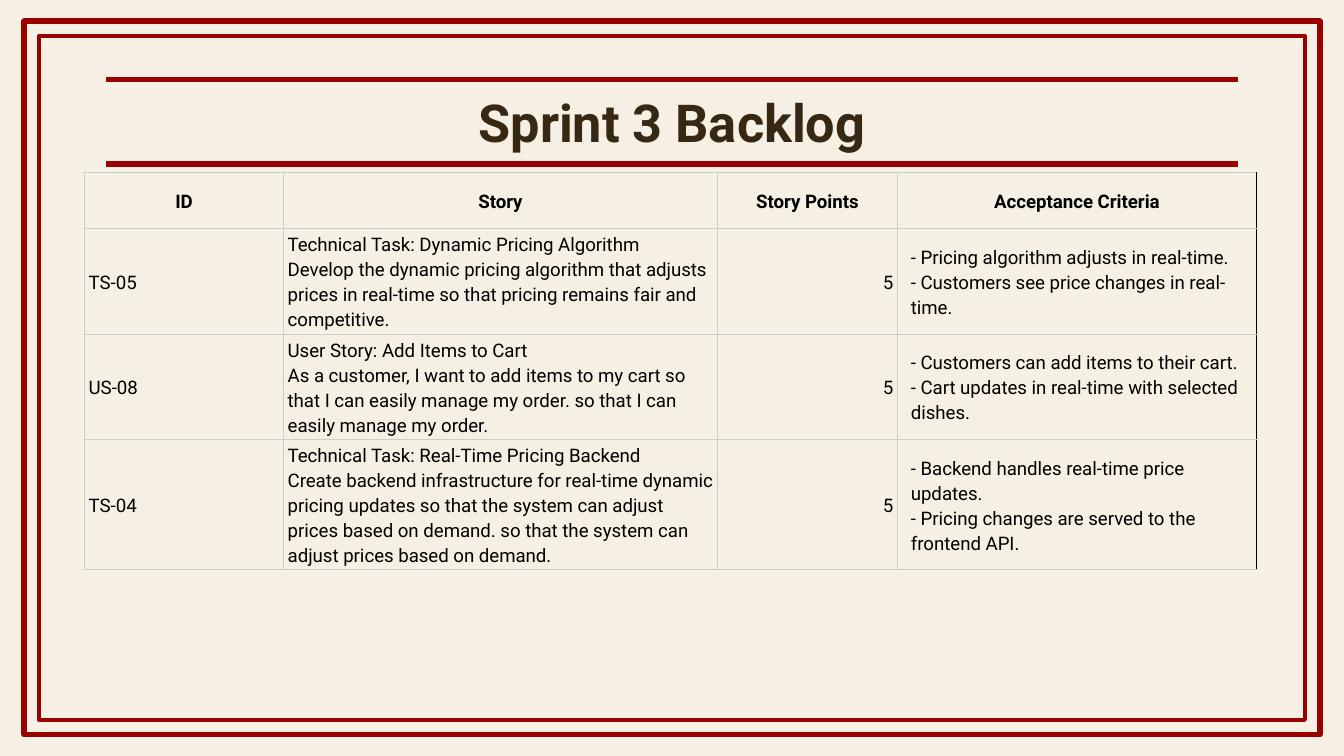
from dataclasses import dataclass

from lxml import etree
from pptx import Presentation
from pptx.dml.color import RGBColor
from pptx.enum.shapes import MSO_CONNECTOR, MSO_SHAPE
from pptx.enum.text import MSO_ANCHOR, MSO_AUTO_SIZE, PP_ALIGN
from pptx.oxml.ns import qn
from pptx.util import Pt

LEFT, MID, RIGHT = PP_ALIGN.LEFT, PP_ALIGN.CENTER, PP_ALIGN.RIGHT
CENTRE = MSO_ANCHOR.MIDDLE
FIXED = MSO_AUTO_SIZE.NONE
RECT = MSO_SHAPE.RECTANGLE
LINE = MSO_CONNECTOR.STRAIGHT


@dataclass(frozen=True)
class Theme:
    """Colours, fonts and sizes of the deck."""
    paper: str = "F6F0E4"
    red: str = "990000"
    brown: str = "372814"
    black: str = "000000"
    grid: str = "CCCCCC"
    face: str = "Roboto"
    head: float = 28
    cell: float = 10
    thick: float = 3
    thin: float = 2.25
    hair: float = 0.42


THEME = Theme()
WIDE, HIGH = 720, 405
TITLE = (56.8, 42.5, 606.4, 45.3)
TABLE = (45.3, 92.4, 627.8, 120)
COLS = (106.6, 232.5, 96.4, 192.3)
ALIGNS = (LEFT, LEFT, RIGHT, LEFT)
PADS = (2.25, 2.25, 2.25, 7.2)
ROWS = (
    ("ID", "Story", "Story Points", "Acceptance Criteria"),
    ("TS-05",
     "Technical Task: Dynamic Pricing Algorithm\n"
     "Develop the dynamic pricing algorithm that adjusts prices in real-time "
     "so that pricing remains fair and competitive.",
     "5",
     "- Pricing algorithm adjusts in real-time.\n"
     "- Customers see price changes in real-time."),
    ("US-08",
     "User Story: Add Items to Cart\n"
     "As a customer, I want to add items to my cart so that I can easily "
     "manage my order. so that I can easily manage my order.",
     "5",
     "- Customers can add items to their cart.\n"
     "- Cart updates in real-time with selected dishes."),
    ("TS-04",
     "Technical Task: Real-Time Pricing Backend\n"
     "Create backend infrastructure for real-time dynamic pricing updates so "
     "that the system can adjust prices based on demand. so that the system "
     "can adjust prices based on demand.",
     "5",
     "- Backend handles real-time price updates.\n"
     "- Pricing changes are served to the frontend API."),
)


def apply(obj, **values):
    """Set each given attribute on an object."""
    for name, value in values.items():
        setattr(obj, name, value)


def style(para, align, size, colour, bold, space=1):
    """Format a paragraph and its font."""
    apply(para, alignment=align, line_spacing=space)
    apply(para.font, name=THEME.face, size=Pt(size), bold=bold)
    para.font.color.rgb = RGBColor.from_string(colour)


def stroke(line, width):
    """Give a line the red of the theme."""
    line.color.rgb = RGBColor.from_string(THEME.red)
    line.width = Pt(width)


def frame(slide, box):
    """Draw the double border inside the box."""
    x, y, w, h = box
    for dx, dy, width in ((13, 11.4, THEME.thick), (20.9, 19.3, THEME.thin)):
        rect = slide.shapes.add_shape(
            RECT, Pt(x + dx), Pt(y + dy), Pt(w - 2 * dx), Pt(h - 2 * dy))
        rect.shadow.inherit = False
        rect.fill.background()
        stroke(rect.line, width)


def banner(slide, box, text):
    """Place the title between two rules."""
    x, y, w, h = box
    title = slide.shapes.title
    apply(title, left=Pt(x), top=Pt(y), width=Pt(w), height=Pt(h))
    body = title.text_frame
    apply(body, text=text, word_wrap=True, auto_size=FIXED,
          vertical_anchor=CENTRE)
    for side in ("left", "top", "right", "bottom"):
        setattr(body, f"margin_{side}", Pt(7.2))
    style(body.paragraphs[0], MID, THEME.head, THEME.brown, True)
    rules = slide.shapes.add_group_shape().shapes
    for level in (y, y + h):
        rule = rules.add_connector(LINE, Pt(x), Pt(level), Pt(x + w), Pt(level))
        stroke(rule.line, THEME.thick)
        etree.SubElement(rule._element.spPr, qn("a:effectLst"))


def edge(cell, last):
    """Draw the four borders of a cell."""
    props = cell._tc.get_or_add_tcPr()
    for spot, side in enumerate("LRTB"):
        colour = THEME.black if last and side == "R" else THEME.grid
        line = etree.Element(qn(f"a:ln{side}"), w=str(Pt(THEME.hair)))
        fill = etree.SubElement(line, qn("a:solidFill"))
        etree.SubElement(fill, qn("a:srgbClr"), val=colour)
        props.insert(spot, line)


def backlog(slide, box, rows):
    """Build the backlog table in the box."""
    x, y, w, h = box
    table = slide.shapes.add_table(
        len(rows), len(COLS), Pt(x), Pt(y), Pt(w), Pt(h)).table
    apply(table, first_row=False, horz_banding=False)
    for col, width in zip(table.columns, COLS):
        col.width = Pt(width)
    for r, row in enumerate(rows):
        table.rows[r].height = Pt(h / len(rows))
        for c, text in enumerate(row):
            cell = table.cell(r, c)
            apply(cell, text=text, vertical_anchor=CENTRE,
                  margin_left=Pt(PADS[c]), margin_right=Pt(PADS[c]),
                  margin_top=Pt(1.5), margin_bottom=Pt(1.5))
            cell.fill.background()
            edge(cell, c == len(COLS) - 1)
            for para in cell.text_frame.paragraphs:
                style(para, ALIGNS[c] if r else MID, THEME.cell, THEME.black,
                      r == 0, 1.15)


def main():
    """Build and save the deck."""
    deck = Presentation()
    apply(deck, slide_width=Pt(WIDE), slide_height=Pt(HIGH))
    slide = deck.slides.add_slide(deck.slide_layouts[5])
    fill = slide.background.fill
    fill.solid()
    fill.fore_color.rgb = RGBColor.from_string(THEME.paper)
    frame(slide, (0, 0, WIDE, HIGH))
    banner(slide, TITLE, "Sprint 3 Backlog")
    backlog(slide, TABLE, ROWS)
    deck.save("out.pptx")


if __name__ == "__main__":
    main()
